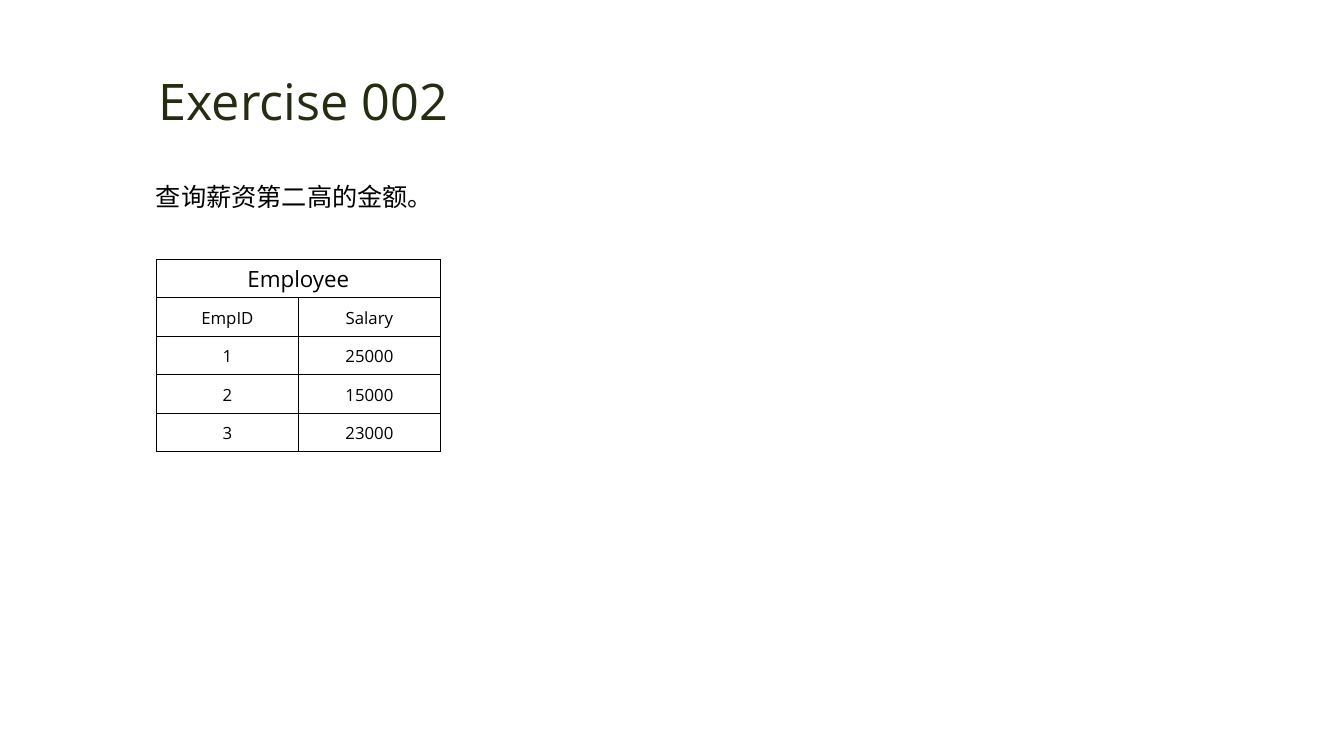
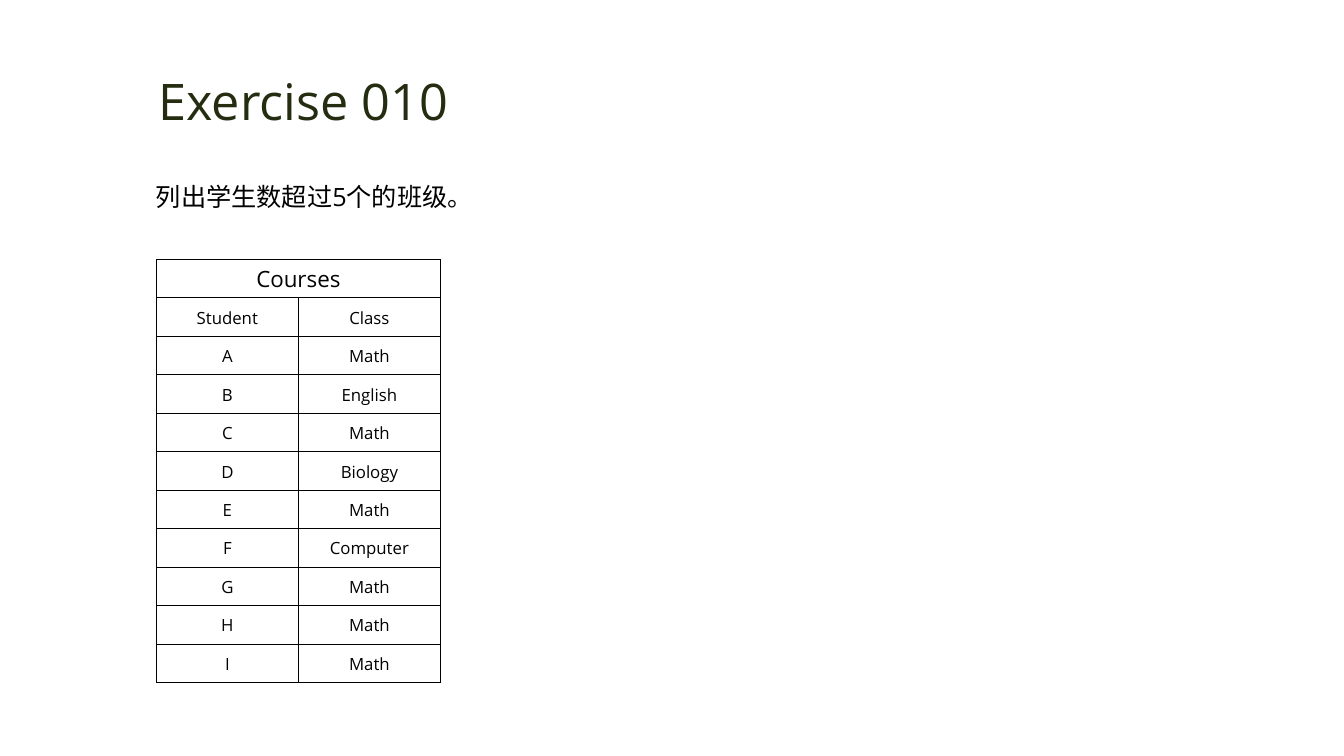
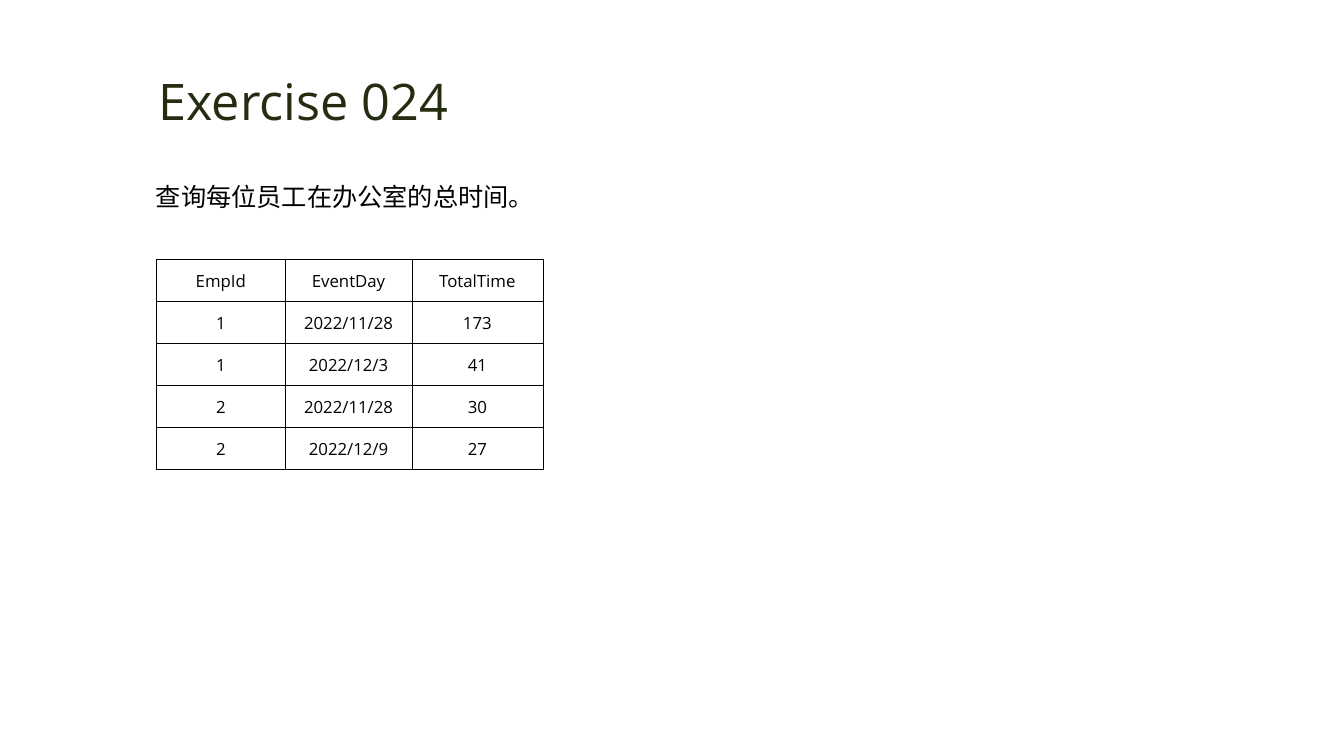
from lxml import etree
from pptx import Presentation
from pptx.dml.color import RGBColor
from pptx.enum.text import MSO_ANCHOR, MSO_AUTO_SIZE, PP_ALIGN
from pptx.oxml.ns import qn
from pptx.util import Cm, Pt

LEFT, MID = PP_ALIGN.LEFT, PP_ALIGN.CENTER
CENTER = MSO_ANCHOR.MIDDLE
FIXED = MSO_AUTO_SIZE.NONE
FONT = "Open Sans"
COLORS = {"title": "242D10", "text": "000000", "line": "000000"}


def write(frame, text, size=12, color="text", align=MID, space=None):
    para = frame.paragraphs[0]
    para.alignment = align
    if space:
        para.line_spacing = space
    run = para.add_run()
    run.text = text
    font = run.font
    font.name, font.size, font.bold = FONT, Pt(size), False
    font.color.rgb = RGBColor.from_string(COLORS[color])


def border(cell):
    props = cell._tc.get_or_add_tcPr()
    for side in ("lnL", "lnR", "lnT", "lnB"):
        line = etree.SubElement(props, qn("a:" + side), w=str(Pt(0.5)))
        fill = etree.SubElement(line, qn("a:solidFill"))
        etree.SubElement(fill, qn("a:srgbClr"), val=COLORS["line"])


pairs = zip("ABCDEFGHI", ["Math", "English", "Math", "Biology", "Math", "Computer", "Math", "Math", "Math"])
tasks = [
    {
        "title": "Exercise 002",
        "task": "查询薪资第二高的金额。",
        "name": "Employee",
        "rows": [("EmpID", "Salary"), ("1", "25000"), ("2", "15000"), ("3", "23000")],
        "widths": [3.58, 3.58],
        "height": 0.97,
    },
    {
        "title": "Exercise 010",
        "task": "列出学生数超过5个的班级。",
        "name": "Courses",
        "rows": [("Student", "Class"), *pairs],
        "widths": [3.58, 3.58],
        "height": 0.97,
    },
    {
        "title": "Exercise 024",
        "task": "查询每位员工在办公室的总时间。",
        "name": None,
        "rows": [
            ("EmpId", "EventDay", "TotalTime"),
            ("1", "2022/11/28", "173"),
            ("1", "2022/12/3", "41"),
            ("2", "2022/11/28", "30"),
            ("2", "2022/12/9", "27"),
        ],
        "widths": [3.25, 3.19, 3.3],
        "height": 1.06,
    },
]

prs = Presentation()
prs.slide_width, prs.slide_height = Cm(33.87), Cm(19.05)

for item in tasks:
    slide = prs.slides.add_slide(prs.slide_layouts[5])
    title = slide.shapes.title
    title.left, title.top, title.width, title.height = Cm(3.53), Cm(1.63), Cm(8.23), Cm(1.8)
    title.text_frame.word_wrap = False
    title.text_frame.auto_size = FIXED
    write(title.text_frame, item["title"], size=36, color="title")

    box = slide.shapes.add_textbox(Cm(3.68), Cm(4.06), Cm(13.28), Cm(1.3))
    box.text_frame.word_wrap = True
    write(box.text_frame, item["task"], size=18, align=LEFT, space=1.5)

    widths, high = item["widths"], item["height"]
    rows = list(item["rows"])
    if item["name"]:
        rows.insert(0, (item["name"],))
    frame = slide.shapes.add_table(
        len(rows), len(widths), Cm(3.94), Cm(6.53), Cm(sum(widths)), Cm(high * len(rows))
    )
    table = frame.table
    table.first_row = table.horz_banding = False
    for col, width in zip(table.columns, widths):
        col.width = Cm(width)
    for row in table.rows:
        row.height = Cm(high)
    for cell in table.iter_cells():
        cell.margin_left = cell.margin_right = cell.margin_top = Cm(0.03)
        cell.margin_bottom = 0
        cell.vertical_anchor = CENTER
        border(cell)
        cell.fill.background()
    if item["name"]:
        table.cell(0, 0).merge(table.cell(0, len(widths) - 1))
    for r, row in enumerate(rows):
        for c, text in enumerate(row):
            size = 16 if text == item["name"] else 12
            write(table.cell(r, c).text_frame, text, size=size)

prs.save("out.pptx")
